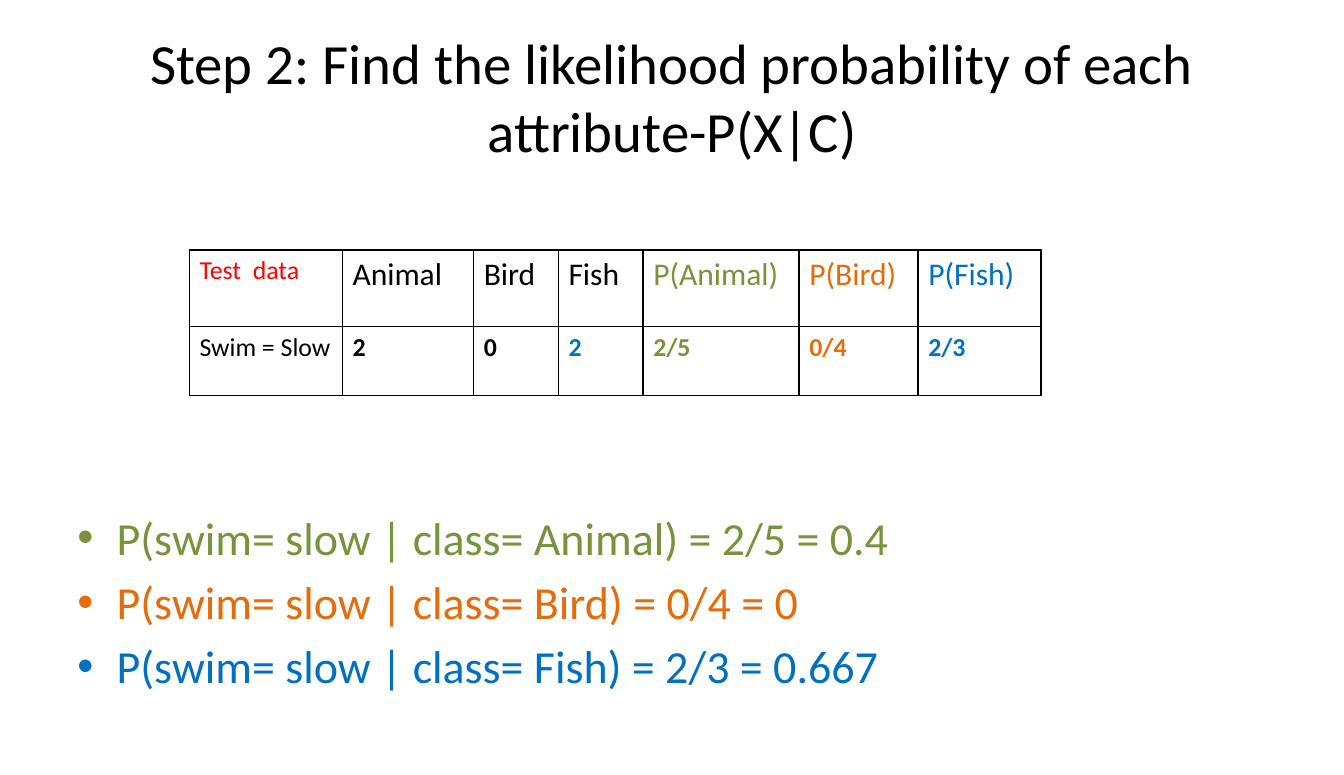
from dataclasses import dataclass

from lxml import etree
from pptx import Presentation
from pptx.dml.color import RGBColor
from pptx.enum.text import MSO_ANCHOR, PP_ALIGN
from pptx.oxml.ns import qn
from pptx.util import Pt

PX = 9144  # EMU in one px, 100 px to the inch
MIDDLE, CENTER = MSO_ANCHOR.MIDDLE, PP_ALIGN.CENTER


@dataclass(frozen=True)
class Theme:
    font: str = "Calibri"
    ink: str = "000000"
    label: str = "FF0000"
    animal: str = "77933C"
    bird: str = "E46C0A"
    fish: str = "0070C0"
    title_size: float = 39.6
    bullet_size: float = 32
    header_size: float = 22
    cell_size: float = 18
    bullet_gap: float = 6.4
    border: float = 1


THEME = Theme()

# Content
TITLE = "Step 2: Find the likelihood probability of each attribute-P(X|C)"
COLUMNS = [  # width, header, header colour, value, value colour
    (148, "Test  data", THEME.label, "Swim = Slow", THEME.ink),
    (127, "Animal", THEME.ink, "2", THEME.ink),
    (82, "Bird", THEME.ink, "0", THEME.ink),
    (82, "Fish", THEME.ink, "2", THEME.fish),
    (151, "P(Animal)", THEME.animal, "2/5", THEME.animal),
    (115, "P(Bird)", THEME.bird, "0/4", THEME.bird),
    (119, "P(Fish)", THEME.fish, "2/3", THEME.fish),
]
ROW_HEIGHTS = [74, 67]
LIKELIHOODS = [
    ("P(swim= slow | class= Animal) = 2/5 = 0.4", THEME.animal),
    ("P(swim= slow | class= Bird) = 0/4 = 0", THEME.bird),
    ("P(swim= slow | class= Fish) = 2/3 = 0.667", THEME.fish),
]

# Places: left, top, width, height
TITLE_AT = (65, 30, 1170, 125)
TABLE_AT = (183, 242, sum(column[0] for column in COLUMNS), sum(ROW_HEIGHTS))
BULLETS_AT = (65, 488, 1170, 182)
BULLET_INDENT = 38


def emu(lengths):
    return [length * PX for length in lengths]


def write(para, text, size, color, bold=False):
    para.text = text
    para.font.name = THEME.font
    para.font.size = Pt(size)
    para.font.bold = bold
    para.font.color.rgb = RGBColor.from_string(color)


def add_bullet(para):
    properties = para._p.get_or_add_pPr()
    properties.set("marL", str(BULLET_INDENT * PX))
    properties.set("indent", str(-BULLET_INDENT * PX))
    etree.SubElement(properties, qn("a:buFont"), typeface="Arial")
    etree.SubElement(properties, qn("a:buChar"), char="•")


def add_borders(cell):
    properties = cell._tc.get_or_add_tcPr()
    for position, side in enumerate(("a:lnL", "a:lnR", "a:lnT", "a:lnB")):
        line = etree.Element(qn(side), w=str(Pt(THEME.border)))
        fill = etree.SubElement(line, qn("a:solidFill"))
        etree.SubElement(fill, qn("a:srgbClr"), val=THEME.ink)
        properties.insert(position, line)


def fill_title(slide):
    title = slide.shapes.title
    title.left, title.top, title.width, title.height = emu(TITLE_AT)
    title.text_frame.vertical_anchor = MIDDLE
    para = title.text_frame.paragraphs[0]
    write(para, TITLE, THEME.title_size, THEME.ink)
    para.alignment = CENTER


def add_counts(slide):
    table = slide.shapes.add_table(len(ROW_HEIGHTS), len(COLUMNS), *emu(TABLE_AT)).table
    table.first_row = table.horz_banding = False
    for row, height in zip(table.rows, ROW_HEIGHTS):
        row.height = height * PX
    for index, (width, header, header_color, value, value_color) in enumerate(COLUMNS):
        table.columns[index].width = width * PX
        is_label = index == 0
        header_size = THEME.cell_size if is_label else THEME.header_size
        entries = [
            (header, header_size, header_color, False),
            (value, THEME.cell_size, value_color, not is_label),
        ]
        for row_index, entry in enumerate(entries):
            cell = table.cell(row_index, index)
            cell.fill.background()
            add_borders(cell)
            write(cell.text_frame.paragraphs[0], *entry)


def add_likelihoods(slide):
    frame = slide.shapes.add_textbox(*emu(BULLETS_AT)).text_frame
    frame.word_wrap = True
    for index, (text, color) in enumerate(LIKELIHOODS):
        para = frame.add_paragraph() if index else frame.paragraphs[0]
        if index:
            para.space_before = Pt(THEME.bullet_gap)
        add_bullet(para)
        write(para, text, THEME.bullet_size, color)


def main():
    deck = Presentation()
    deck.slide_width, deck.slide_height = emu((1300, 750))
    slide = deck.slides.add_slide(deck.slide_layouts.get_by_name("Title Only"))
    fill_title(slide)
    add_counts(slide)
    add_likelihoods(slide)
    deck.save("out.pptx")


if __name__ == "__main__":
    main()
